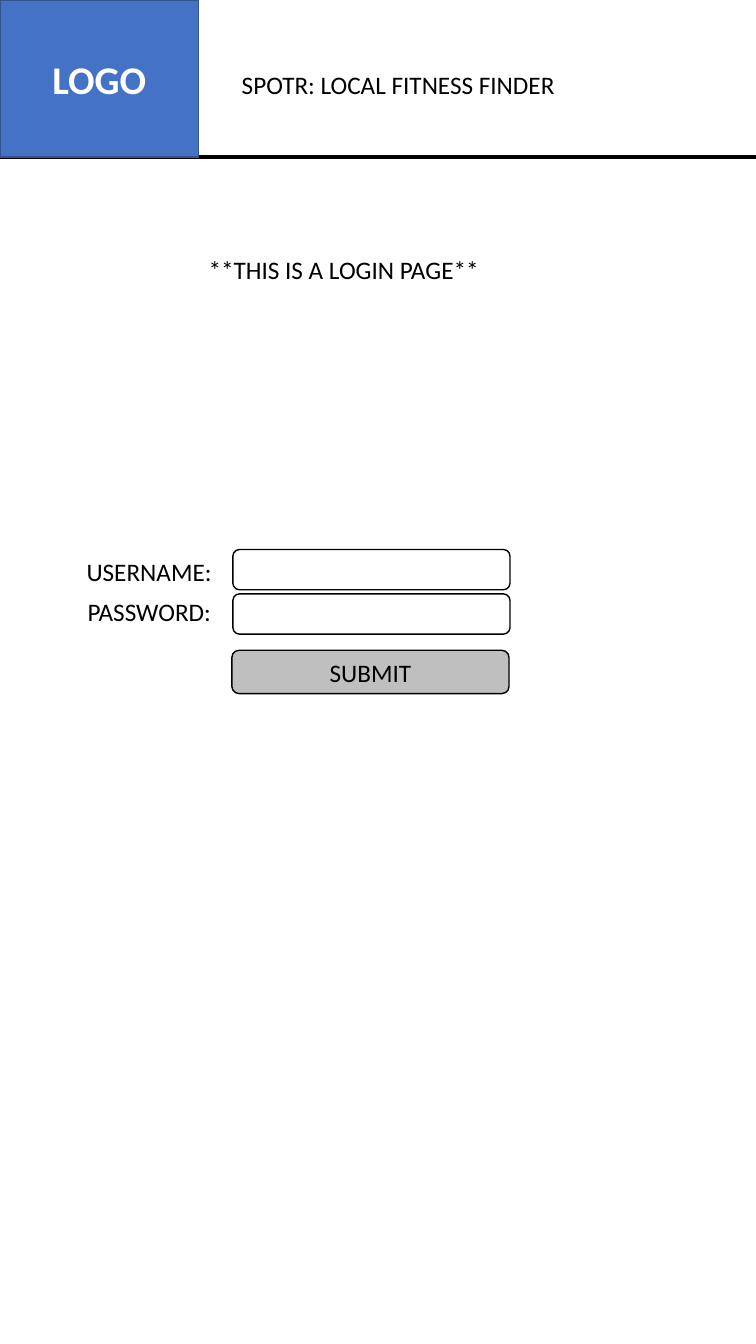
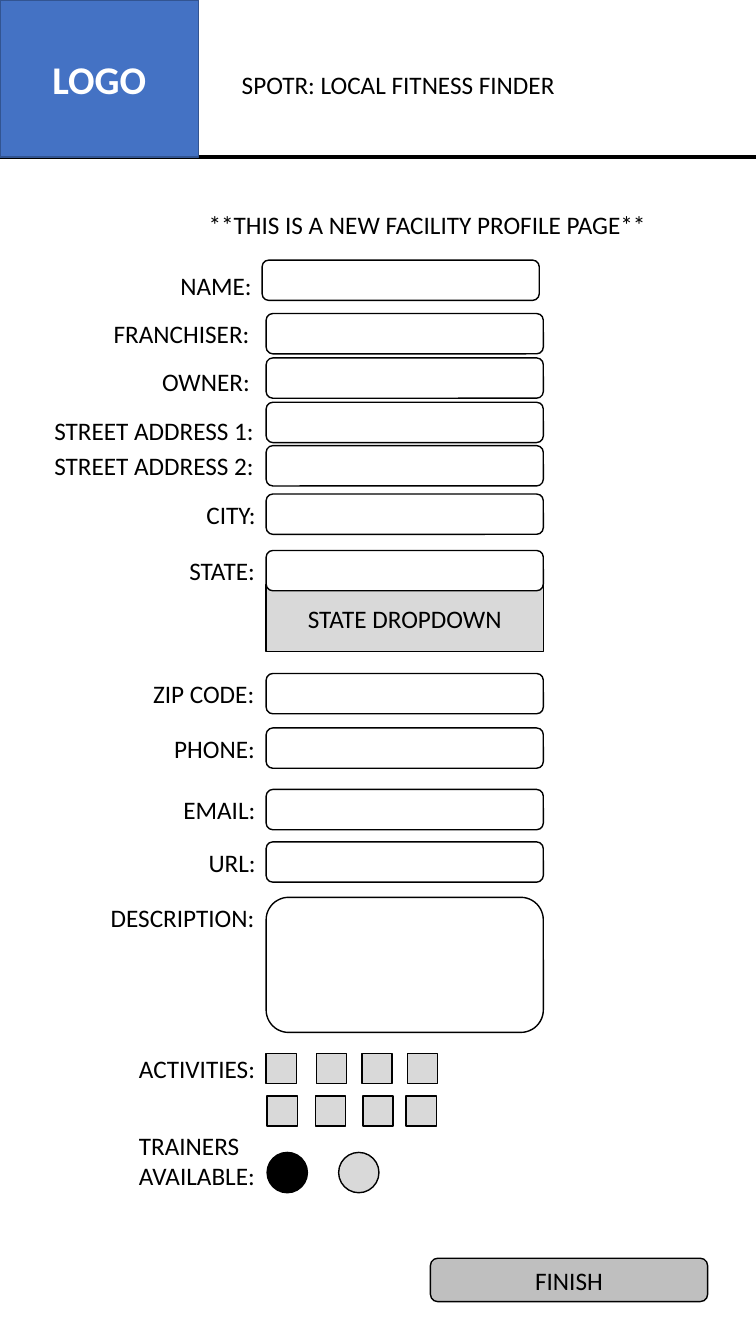
"""Builds the login and facility profile wireframes of a fitness finder."""
from lxml import etree
from pptx import Presentation
from pptx.dml.color import RGBColor
from pptx.enum.shapes import MSO_CONNECTOR, MSO_SHAPE
from pptx.enum.text import MSO_ANCHOR, MSO_AUTO_SIZE, PP_ALIGN
from pptx.oxml.ns import qn
from pptx.util import Inches, Pt

RECTANGLE = MSO_SHAPE.RECTANGLE
ROUNDED = MSO_SHAPE.ROUNDED_RECTANGLE
OVAL = MSO_SHAPE.OVAL
STRAIGHT = MSO_CONNECTOR.STRAIGHT
MIDDLE = MSO_ANCHOR.MIDDLE
FIT_TEXT = MSO_AUTO_SIZE.SHAPE_TO_FIT_TEXT
LEFT, CENTER = PP_ALIGN.LEFT, PP_ALIGN.CENTER

FONT = "Calibri"
BLACK, WHITE = "000000", "FFFFFF"
BLUE, DARK_BLUE = "4472C4", "325491"
BUTTON_GRAY, LIGHT_GRAY = "BFBFBF", "D9D9D9"
SLIDE_WIDTH, HEADER_HEIGHT = 7.5, 1.56
FIELD_WIDTH, FIELD_HEIGHT, BUTTON_HEIGHT = 2.75, 0.4, 0.43
FIELD_LEFT = 2.64


def add_text(slide, text, bounds, shape=None, size=18, color=BLACK, bold=False, align=LEFT):
    """Write text into a shape, or into a new text box at the bounds."""
    if shape is None:
        shape = slide.shapes.add_textbox(*map(Inches, bounds))
        shape.text_frame.word_wrap = False
        shape.text_frame.auto_size = FIT_TEXT
    else:
        shape.text_frame.vertical_anchor = MIDDLE
    shape.text_frame.text = text
    for paragraph in shape.text_frame.paragraphs:
        paragraph.alignment = align
        paragraph.font.name = FONT
        paragraph.font.size = Pt(size)
        paragraph.font.bold = bold
        paragraph.font.color.rgb = RGBColor.from_string(color)


def add_box(slide, kind, bounds, fill=WHITE, line=BLACK, text="", **text_format):
    """Draw an outlined shape with optional centred text."""
    shape = slide.shapes.add_shape(kind, *map(Inches, bounds))
    shape.shadow.inherit = False
    shape.fill.solid()
    shape.fill.fore_color.rgb = RGBColor.from_string(fill)
    shape.line.color.rgb = RGBColor.from_string(line)
    shape.line.width = Pt(1)
    if text:
        add_text(slide, text, bounds, shape=shape, align=CENTER, **text_format)


presentation = Presentation()
presentation.slide_width = Inches(SLIDE_WIDTH)
presentation.slide_height = Inches(13.33)

pages = [
    {
        "title": ("**THIS IS A LOGIN PAGE**", (1.97, 2.47, 2.91, 0.4)),
        "labels": [
            ("USERNAME:", (0.76, 5.47, 1.45, 0.4)),
            ("PASSWORD:", (0.77, 5.87, 1.44, 0.4)),
        ],
        "fields": [(2.31, 5.45), (2.31, 5.89)],
        "button": ("SUBMIT", 2.3, 6.45),
    },
    {
        "title": ("**THIS IS A NEW FACILITY PROFILE PAGE**", (1.97, 2.03, 4.58, 0.4)),
        "labels": [
            ("NAME:", (1.69, 2.63, 0.92, 0.4)),
            ("FRANCHISER:", (1.03, 3.11, 1.56, 0.4)),
            ("OWNER:", (1.51, 3.58, 1.08, 0.4)),
            ("STREET ADDRESS 1:", (0.44, 4.07, 2.2, 0.4)),
            ("STREET ADDRESS 2:", (0.44, 4.42, 2.2, 0.4)),
            ("CITY:", (1.95, 4.9, 0.69, 0.4)),
            ("STATE:", (1.78, 5.46, 0.86, 0.4)),
            ("ZIP CODE:", (1.42, 6.68, 1.22, 0.4)),
            ("PHONE:", (1.63, 7.22, 1.01, 0.4)),
            ("EMAIL:", (1.72, 7.83, 0.92, 0.4)),
            ("URL:", (1.97, 8.35, 0.68, 0.4)),
            ("DESCRIPTION:", (1, 8.9, 1.64, 0.4)),
            ("ACTIVITIES:", (1.28, 10.4, 1.36, 0.4)),
            ("TRAINERS\nAVAILABLE:", (1.28, 11.16, 1.36, 0.71)),
        ],
        "fields": [(2.6, 2.58)] + [
            (FIELD_LEFT, top)
            for top in (3.11, 3.55, 3.99, 4.42, 4.9, 5.46, 6.68, 7.22, 7.83, 8.35)
        ],
        "dropdown": ("STATE DROPDOWN", (FIELD_LEFT, 5.8, FIELD_WIDTH, 0.66)),
        "button": ("FINISH", 4.27, 12.48),
    },
]

for page in pages:
    slide = presentation.slides.add_slide(presentation.slide_layouts[6])

    if "dropdown" in page:
        text, bounds = page["dropdown"]
        add_box(slide, RECTANGLE, bounds, fill=LIGHT_GRAY, text=text)

    rule = slide.shapes.add_connector(
        STRAIGHT, 0, Inches(HEADER_HEIGHT), Inches(SLIDE_WIDTH), Inches(HEADER_HEIGHT))
    rule.line.color.rgb = RGBColor.from_string(BLACK)
    rule.line.width = Pt(3)
    etree.SubElement(rule.element.spPr, qn("a:effectLst"))
    add_text(slide, "SPOTR: LOCAL FITNESS FINDER", (2.3, 0.64, 3.34, 0.4))
    add_box(slide, RECTANGLE, (0, 0, 1.97, HEADER_HEIGHT), fill=BLUE, line=DARK_BLUE,
            text="LOGO", size=28, color=WHITE, bold=True)

    for text, bounds in [page["title"], *page["labels"]]:
        add_text(slide, text, bounds)
    for left, top in page["fields"]:
        add_box(slide, ROUNDED, (left, top, FIELD_WIDTH, FIELD_HEIGHT))

    text, left, top = page["button"]
    add_box(slide, ROUNDED, (left, top, FIELD_WIDTH, BUTTON_HEIGHT),
            fill=BUTTON_GRAY, text=text)

add_box(slide, ROUNDED, (FIELD_LEFT, 8.9, FIELD_WIDTH, 1.34))

checkbox_rows = [
    (10.45, (2.64, 3.14, 3.59, 4.04)),
    (10.87, (2.65, 3.13, 3.6, 4.03)),
]
for top, lefts in checkbox_rows:
    for left in lefts:
        add_box(slide, RECTANGLE, (left, top, 0.3, 0.3), fill=LIGHT_GRAY)

for left, fill in [(2.65, BLACK), (3.36, LIGHT_GRAY)]:
    add_box(slide, OVAL, (left, 11.43, 0.4, 0.4), fill=fill)

presentation.save("out.pptx")
